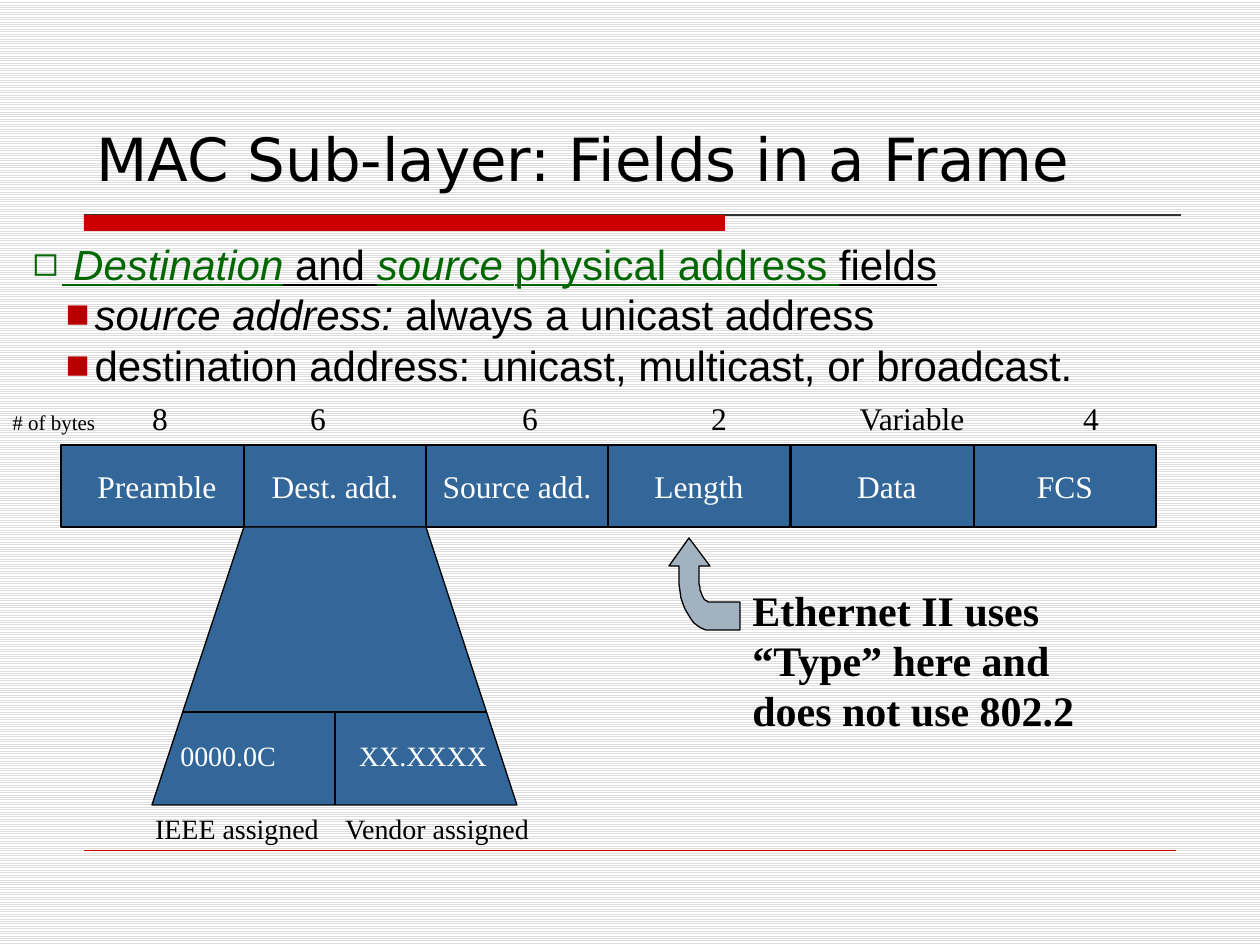
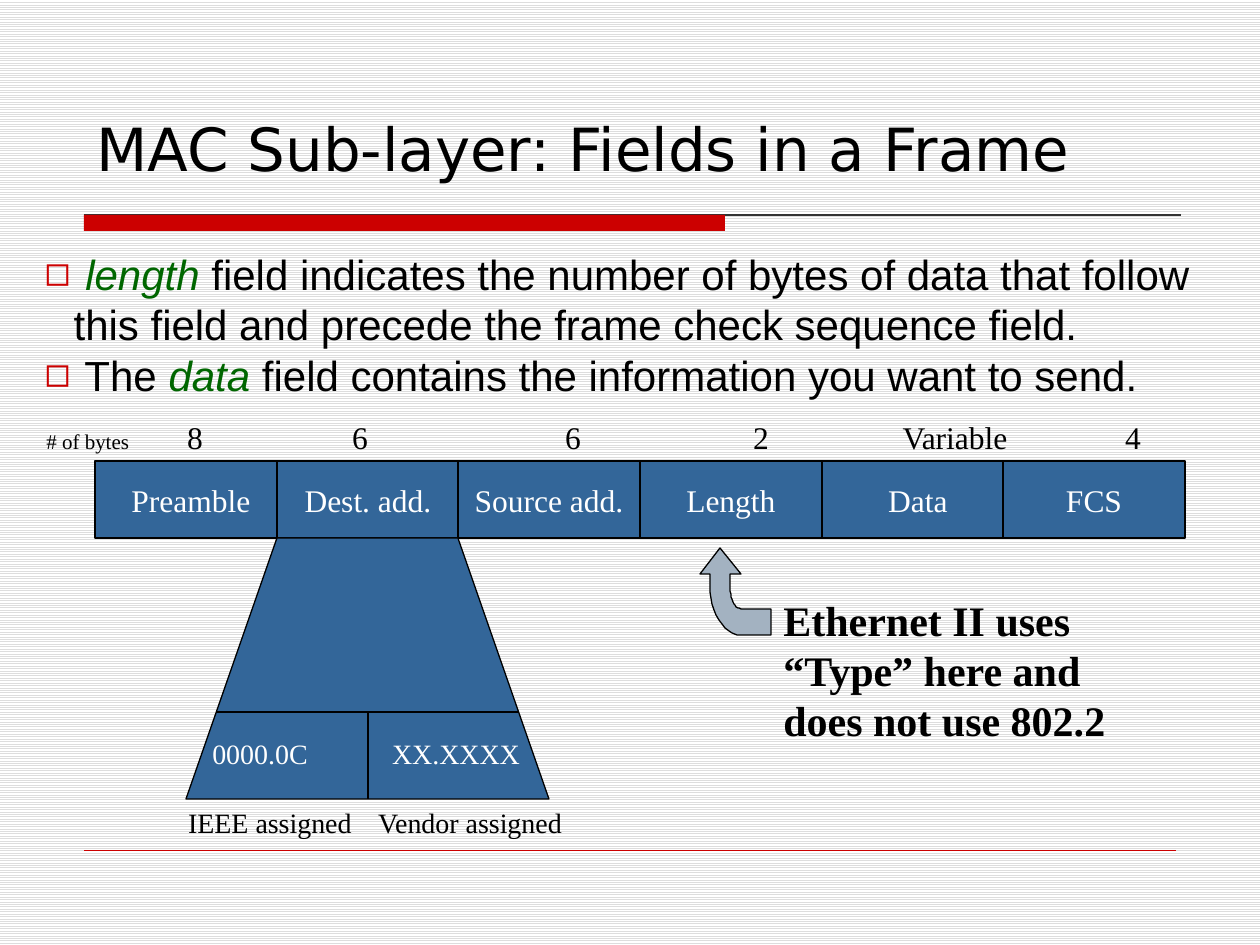
from lxml.etree import SubElement
from pptx import Presentation
from pptx.dml.color import RGBColor
from pptx.enum.dml import MSO_PATTERN
from pptx.enum.shapes import MSO_CONNECTOR, MSO_SHAPE
from pptx.enum.text import MSO_ANCHOR, MSO_AUTO_SIZE, PP_ALIGN
from pptx.oxml.ns import qn
from pptx.util import Emu, Pt

PX = 914400 // 126
BLACK = RGBColor(0x00, 0x00, 0x00)
WHITE = RGBColor(0xFF, 0xFF, 0xFF)
STRIPE = RGBColor(0xDD, 0xDD, 0xDD)
RED = RGBColor(0xCC, 0x00, 0x00)
DARK_RED = RGBColor(0xB9, 0x00, 0x00)
GREEN = RGBColor(0x00, 0x66, 0x00)
BLUE = RGBColor(0x33, 0x66, 0x99)
GREY_BLUE = RGBColor(0xA3, 0xB2, 0xC1)
RULE = RGBColor(0x33, 0x33, 0x33)
SANS, SERIF, TITLE_FONT = "Arial", "Times New Roman", "DejaVu Sans"

# Content shared by both slides
TITLE = "MAC Sub-layer: Fields in a Frame"
FIELDS = ["Preamble", "Dest. add.", "Source add.", "Length", "Data", "FCS"]
WIDE_FIELDS = ("Preamble", "Data")  # reach 10 px under the next field
BYTES_CAPTION = "# of bytes"
BYTES = ["8", "6", "6", "2", "Variable", "4"]
NOTE = "Ethernet II uses “Type” here and does not use 802.2"
# (text, offset of its centre from the middle of the address)
ADDRESS_PARTS = [("0000.0C", -107), ("XX.XXXX", 88)]
ADDRESS_OWNERS = [("IEEE assigned", -98), ("Vendor assigned", 102)]
SPLIT_Y = 712

# Bullet styles: character, colour, size %, left margin, hanging indent
GREEN_BOX = ("◻", GREEN, 100, 29, 29)
RED_BOX = ("◻", RED, 100, 29, 29)
SQUARE = ("■", DARK_RED, 95, 62, 29)

# Content of each slide; a run is (text, colour, flags: i italic, u underline)
SLIDES = [
    {
        "title": (84, 106, 1050, 94),
        "body": (20, 232, 1152, 165),
        "points": [
            (0, GREEN_BOX, [(" Destination", GREEN, "iu"), (" and ", BLACK, "u"),
                            ("source ", GREEN, "iu"),
                            ("physical address ", GREEN, "u"),
                            ("fields", BLACK, "u")]),
            (1, SQUARE, [("source address: ", BLACK, "i"),
                         ("always a unicast address", BLACK, "")]),
            (1, SQUARE, [("destination address: unicast, multicast, or broadcast.",
                          BLACK, "")]),
        ],
        "frame": (61, 445, 1095, 82),
        "bytes_top": 393,
        "byte_centres": [160, 318, 530, 719, 912, 1091],
        "address_bottom": 805,
        "arrow": (669, 538, 92),
    },
    {
        "title": (84, 96, 1170, 94),
        "body": (32, 242, 1228, 165),
        "points": [
            (0, RED_BOX, [(" length ", GREEN, "i"),
                          ("field indicates the number of bytes of data that follow "
                           "this field and precede the frame check sequence field.",
                           BLACK, "")]),
            (0, RED_BOX, [(" The ", BLACK, ""), ("data", GREEN, "i"),
                          (" field contains the information you want to send.",
                           BLACK, "")]),
        ],
        "frame": (95, 461, 1090, 77),
        "bytes_top": 412,
        "byte_centres": [195, 360, 573, 761, 955, 1133],
        "address_bottom": 799,
        "arrow": (700, 548, 87),
    },
]


# Drawing helpers
def px(*lengths):
    return [Emu(round(length) * PX) for length in lengths]


def paint(shape, fill, line=BLACK):
    shape.shadow.inherit = False
    shape.fill.solid()
    shape.fill.fore_color.rgb = fill
    if line is None:
        shape.line.fill.background()
    else:
        shape.line.color.rgb = line
        shape.line.width = Pt(0.75)


def style(font, name, size, color, bold=False):
    font.name, font.size, font.bold = name, Pt(size), bold
    font.color.rgb = color


def add_line(slide, x1, y1, x2, y2, color=BLACK, width=0.75):
    line = slide.shapes.add_connector(MSO_CONNECTOR.STRAIGHT, *px(x1, y1, x2, y2))
    line.line.color.rgb = color
    line.line.width = Pt(width)
    SubElement(line._element.spPr, qn("a:effectLst"))


def add_text(slide, text, box, size, color=BLACK, align=PP_ALIGN.LEFT, bold=False):
    frame = slide.shapes.add_textbox(*px(*box)).text_frame
    frame.word_wrap = True
    frame.text = text
    paragraph = frame.paragraphs[0]
    paragraph.alignment = align
    paragraph.line_spacing = Pt(size * 1.2)
    style(paragraph.runs[0].font, SERIF, size, color, bold)


def add_centred(slide, text, centre, top, size, color=BLACK):
    add_text(slide, text, (centre - 110, top, 220, 50), size, color, PP_ALIGN.CENTER)


def add_outline(slide, points, fill):
    builder = slide.shapes.build_freeform(*map(round, points[0]), scale=PX)
    builder.add_line_segments([(round(x), round(y)) for x, y in points[1:]])
    paint(builder.convert_to_shape(), fill)


def curve(a, b, c, d, steps=12):
    return [tuple((1 - t) ** 3 * p + 3 * (1 - t) ** 2 * t * q
                  + 3 * (1 - t) * t ** 2 * r + t ** 3 * s
                  for p, q, r, s in zip(a, b, c, d))
            for t in (i / steps for i in range(steps + 1))]


# Slide parts
def add_rules(slide):
    add_line(slide, 84, 215, 1181, 215, RULE)
    band = slide.shapes.add_shape(MSO_SHAPE.RECTANGLE, *px(84, 215, 641, 16))
    paint(band, RED, None)
    add_line(slide, 84, 850, 1176, 850, RED, 0.25)


def place(placeholder, box, anchor):
    placeholder.left, placeholder.top, placeholder.width, placeholder.height = px(*box)
    frame = placeholder.text_frame
    frame.word_wrap = True
    frame.auto_size = MSO_AUTO_SIZE.NONE
    frame.vertical_anchor = anchor
    return frame


def fill_title(slide, box):
    frame = place(slide.shapes.title, box, MSO_ANCHOR.BOTTOM)
    frame.text = TITLE
    frame.paragraphs[0].alignment = PP_ALIGN.LEFT
    style(frame.paragraphs[0].runs[0].font, TITLE_FONT, 34, BLACK)


def set_bullet(paragraph, bullet):
    char, color, percent, margin, hang = bullet
    props = paragraph._p.get_or_add_pPr()
    props.set("marL", str(margin * PX))
    props.set("indent", str(-hang * PX))
    SubElement(SubElement(props, qn("a:buClr")), qn("a:srgbClr"), val=str(color))
    SubElement(props, qn("a:buSzPct"), val=str(percent * 1000))
    SubElement(props, qn("a:buFont"), typeface=SANS)
    SubElement(props, qn("a:buChar"), char=char)


def fill_points(slide, box, points):
    frame = place(slide.placeholders[1], box, MSO_ANCHOR.TOP)
    for index, (level, bullet, runs) in enumerate(points):
        paragraph = frame.add_paragraph() if index else frame.paragraphs[0]
        paragraph.level = level
        paragraph.alignment = PP_ALIGN.LEFT
        paragraph.line_spacing = Pt(28.8)
        paragraph.space_before = Pt(0)
        set_bullet(paragraph, bullet)
        for text, color, flags in runs:
            run = paragraph.add_run()
            run.text = text
            style(run.font, SANS, 24, color)
            run.font.italic = "i" in flags
            run.font.underline = "u" in flags


def add_frame_fields(slide, left, top, width, height):
    cell = width / len(FIELDS)
    for index, field in enumerate(FIELDS):
        extra = 10 if field in WIDE_FIELDS else 0
        box = slide.shapes.add_shape(
            MSO_SHAPE.RECTANGLE, *px(left + index * cell, top, cell + extra, height))
        paint(box, BLUE)
        frame = box.text_frame
        frame.word_wrap = False
        frame.vertical_anchor = MSO_ANCHOR.MIDDLE
        frame.text = field
        frame.paragraphs[0].alignment = PP_ALIGN.CENTER
        style(frame.paragraphs[0].runs[0].font, SERIF, 18, WHITE)


def add_byte_counts(slide, left, top, centres):
    add_text(slide, BYTES_CAPTION, (left - 61, top + 10, 130, 38), 12)
    for count, centre in zip(BYTES, centres):
        add_centred(slide, count, centre, top, 18)


def add_address(slide, frame, bottom):
    left, frame_top, width, height = frame
    cell, top = width / len(FIELDS), frame_top + height
    start, end = left + cell, left + 2 * cell
    middle, flare = left + 1.5 * cell, cell / 2
    add_outline(slide, [(start, top), (end, top), (end + flare, bottom),
                        (start - flare, bottom)], BLUE)
    split_flare = flare * (SPLIT_Y - top) / (bottom - top)
    add_line(slide, start - split_flare, SPLIT_Y, end + split_flare, SPLIT_Y)
    add_line(slide, middle, SPLIT_Y, middle, bottom)
    for text, offset in ADDRESS_PARTS:
        add_centred(slide, text, middle + offset, (SPLIT_Y + bottom) / 2 - 26, 16, WHITE)
    for text, offset in ADDRESS_OWNERS:
        add_centred(slide, text, middle + offset, bottom, 16)


def add_note(slide, left, top, height):
    arrow = [(20, 0), (0, 28), (10, 28),
             *curve((10, 39), (10, 68), (23, 92), (41, 92)),
             (71, 92), (71, 64),
             *curve((41, 64), (34, 64), (30, 53), (30, 39)),
             (30, 28), (41, 28)]
    add_outline(slide, [(left + x, top + y * height / 92) for x, y in arrow], GREY_BLUE)
    add_text(slide, NOTE, (left + 71, top + 40, 355, 164), 24, bold=True)


def main():
    deck = Presentation()
    deck.slide_width, deck.slide_height = px(1260, 945)
    background = deck.slide_master.background.fill
    background.patterned()
    background.pattern = MSO_PATTERN.LIGHT_HORIZONTAL
    background.fore_color.rgb = STRIPE
    background.back_color.rgb = WHITE

    for content in SLIDES:
        slide = deck.slides.add_slide(deck.slide_layouts[1])
        add_rules(slide)
        fill_title(slide, content["title"])
        fill_points(slide, content["body"], content["points"])
        add_frame_fields(slide, *content["frame"])
        add_byte_counts(slide, content["frame"][0], content["bytes_top"],
                        content["byte_centres"])
        add_address(slide, content["frame"], content["address_bottom"])
        add_note(slide, *content["arrow"])
    deck.save("out.pptx")


if __name__ == "__main__":
    main()
